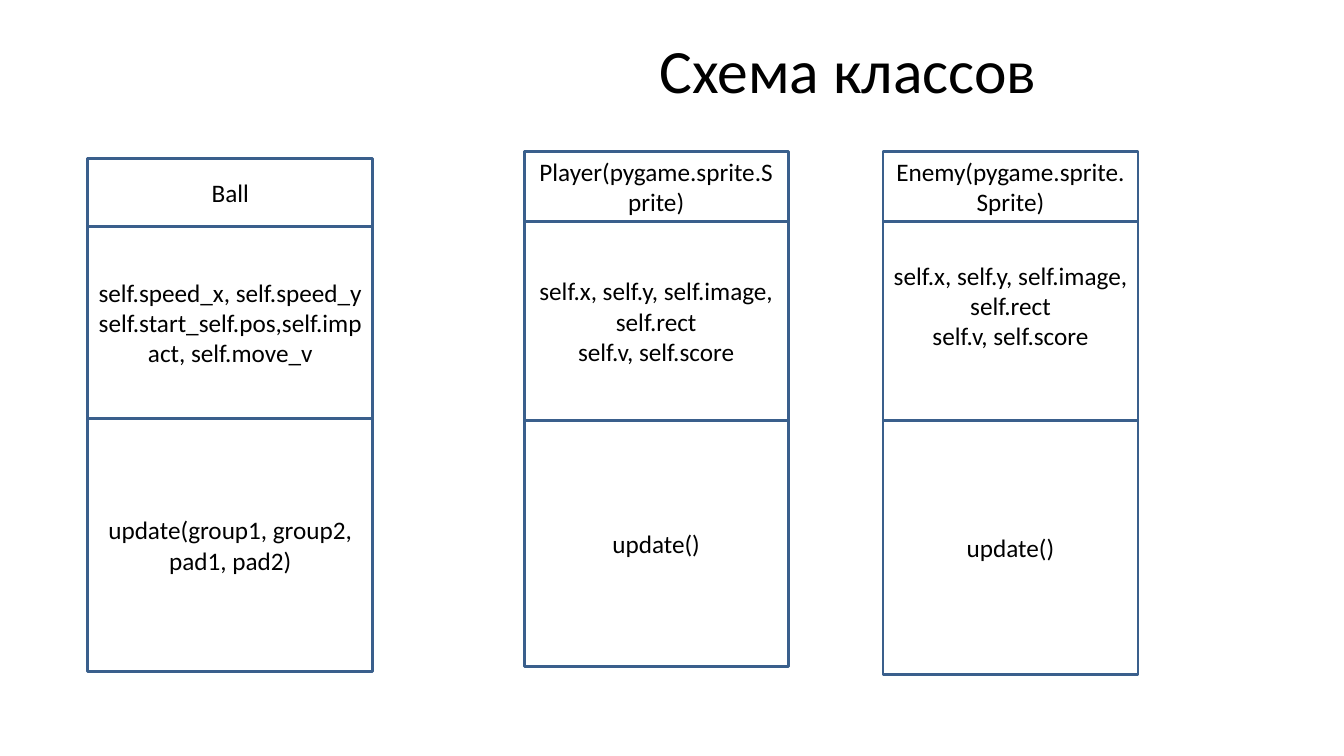
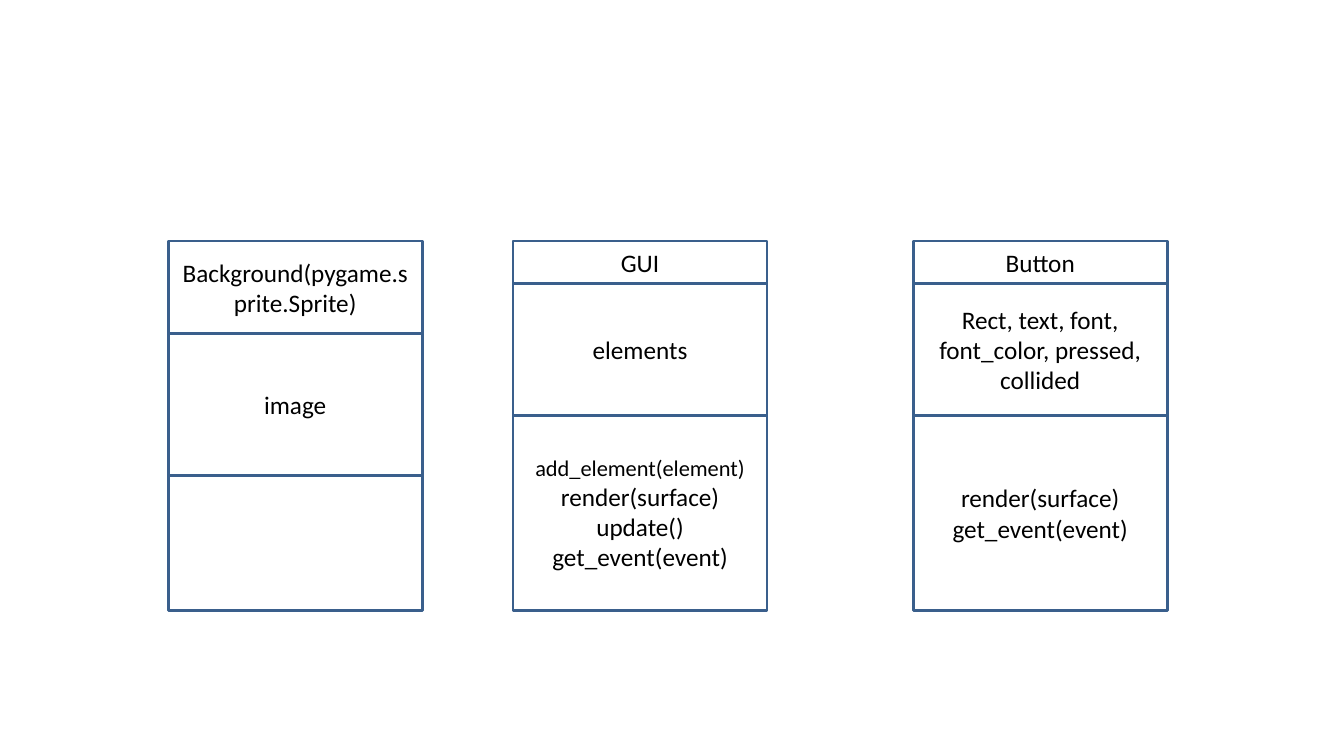
from dataclasses import dataclass

from pptx import Presentation
from pptx import util as u
from pptx.dml import color
from pptx.enum import shapes, text

Pt = u.Pt


@dataclass(frozen=True)
class Theme:
    font: str = "Calibri"
    ink: color.RGBColor = color.RGBColor(0, 0, 0)
    paper: color.RGBColor = color.RGBColor(0xFF, 0xFF, 0xFF)
    border: color.RGBColor = color.RGBColor(0x3A, 0x5F, 0x8C)
    border_width: float = 2
    title_size: float = 44
    body_size: float = 18
    small_size: float = 16
    inset_x: float = 7.2
    inset_y: float = 3.6


THEME = Theme()
SLIDE_WIDTH, SLIDE_HEIGHT = 960, 540
TITLE_ONLY, BLANK = 5, 6


@dataclass
class ClassBox:
    """A class diagram: name, attributes and methods between four edges."""
    left: float
    width: float
    edges: tuple
    name: str
    attributes: str
    methods: str = ""
    attributes_raise: float = 0
    small_lines: tuple = ()


# Content
BOX_WIDTH = 181.4
LOW_EDGES = (172.1, 202.3, 296.6, 436.3)

GAME_CLASSES = [
    ClassBox(62.6, 203.8, (113, 162, 298.8, 479.5), "Ball",
             "self.speed_x, self.speed_y\n"
             "self.start_self.pos,self.impact, self.move_v",
             "update(group1, group2, pad1, pad2)"),
    ClassBox(374.4, 188.6, (108, 158.4, 300.2, 475.9),
             "Player(pygame.sprite.Sprite)",
             "self.x, self.y, self.image, self.rect\nself.v, self.score",
             "update()"),
    ClassBox(630.7, 182.2, (108, 158.4, 300.2, 481.7),
             "Enemy(pygame.sprite.Sprite)",
             "self.x, self.y, self.image, self.rect\nself.v, self.score",
             "update()", attributes_raise=22),
]

INTERFACE_CLASSES = [
    ClassBox(120.2, BOX_WIDTH, (172.1, 238.3, 339.9, 436.3),
             "Background(pygame.sprite.Sprite)", "image"),
    ClassBox(366.5, BOX_WIDTH, LOW_EDGES, "GUI", "elements",
             "add_element(element)\nrender(surface)\nupdate()\n"
             "get_event(event)",
             small_lines=("add_element(element)",)),
    ClassBox(652.3, BOX_WIDTH, LOW_EDGES, "Button",
             "Rect, text, font, font_color, pressed, collided",
             "render(surface)\nget_event(event)"),
]


def set_frame(frame, left=THEME.inset_x, bottom=THEME.inset_y):
    frame.word_wrap = True
    frame.auto_size = text.MSO_AUTO_SIZE.NONE
    frame.vertical_anchor = text.MSO_ANCHOR.MIDDLE
    frame.margin_left, frame.margin_right = Pt(left), Pt(THEME.inset_x)
    frame.margin_top, frame.margin_bottom = Pt(THEME.inset_y), Pt(bottom)


def format_paragraph(paragraph, size, alignment):
    paragraph.alignment = alignment
    for run in paragraph.runs:
        run.font.name = THEME.font
        run.font.size = Pt(size)
        run.font.color.rgb = THEME.ink


def add_title(slide, wording, left, width, height, indent):
    title = slide.shapes.title
    title.left, title.top = Pt(left), Pt(0)
    title.width, title.height = Pt(width), Pt(height)
    set_frame(title.text_frame, left=THEME.inset_x + indent)
    title.text_frame.text = wording
    paragraph = title.text_frame.paragraphs[0]
    paragraph.line_spacing = 0.9
    format_paragraph(paragraph, THEME.title_size, text.PP_ALIGN.LEFT)


def add_compartment(slide, left, top, width, height, wording,
                    text_raise=0, small_lines=()):
    shape = slide.shapes.add_shape(shapes.MSO_SHAPE.RECTANGLE, Pt(left),
                                   Pt(top), Pt(width), Pt(height))
    shape.shadow.inherit = False
    shape.fill.solid()
    shape.fill.fore_color.rgb = THEME.paper
    shape.line.color.rgb = THEME.border
    shape.line.width = Pt(THEME.border_width)
    set_frame(shape.text_frame, bottom=THEME.inset_y + text_raise)
    shape.text_frame.text = wording
    for paragraph in shape.text_frame.paragraphs:
        small = paragraph.text in small_lines
        format_paragraph(paragraph,
                         THEME.small_size if small else THEME.body_size,
                         text.PP_ALIGN.CENTER)


def add_class_box(slide, box):
    wordings = (box.name, box.attributes, box.methods)
    raises = (0, box.attributes_raise, 0)
    for top, bottom, wording, text_raise in zip(
            box.edges, box.edges[1:], wordings, raises):
        add_compartment(slide, box.left, top, box.width, bottom - top,
                        wording, text_raise, box.small_lines)


def add_class_slide(presentation, layout, boxes):
    slide = presentation.slides.add_slide(presentation.slide_layouts[layout])
    for box in boxes:
        add_class_box(slide, box)
    return slide


def main():
    presentation = Presentation()
    presentation.slide_width = Pt(SLIDE_WIDTH)
    presentation.slide_height = Pt(SLIDE_HEIGHT)

    # Game objects, under the title
    slide = add_class_slide(presentation, TITLE_ONLY, GAME_CLASSES)
    title_left = 175.7
    add_title(slide, "Схема классов", title_left, SLIDE_WIDTH - title_left,
              104.4, indent=288)

    # Background and interface, without a title
    add_class_slide(presentation, BLANK, INTERFACE_CLASSES)

    presentation.save("out.pptx")


main()
